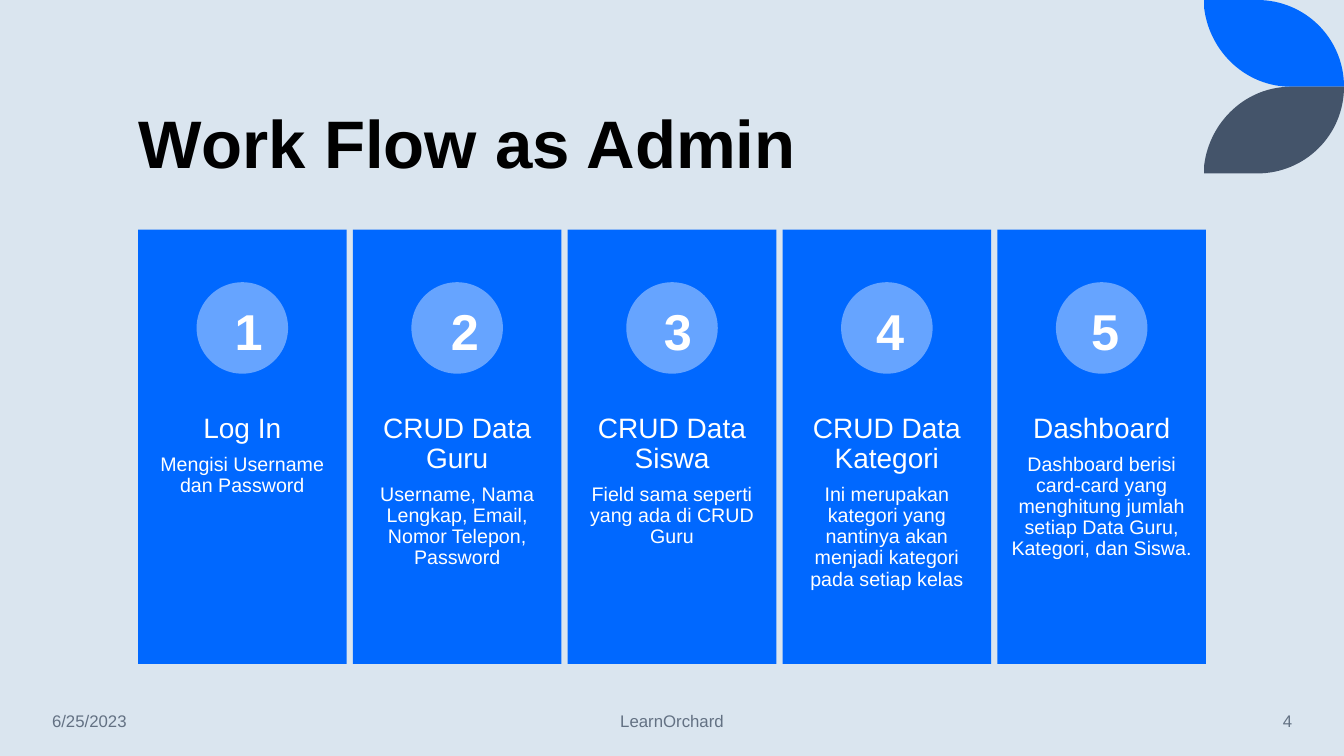
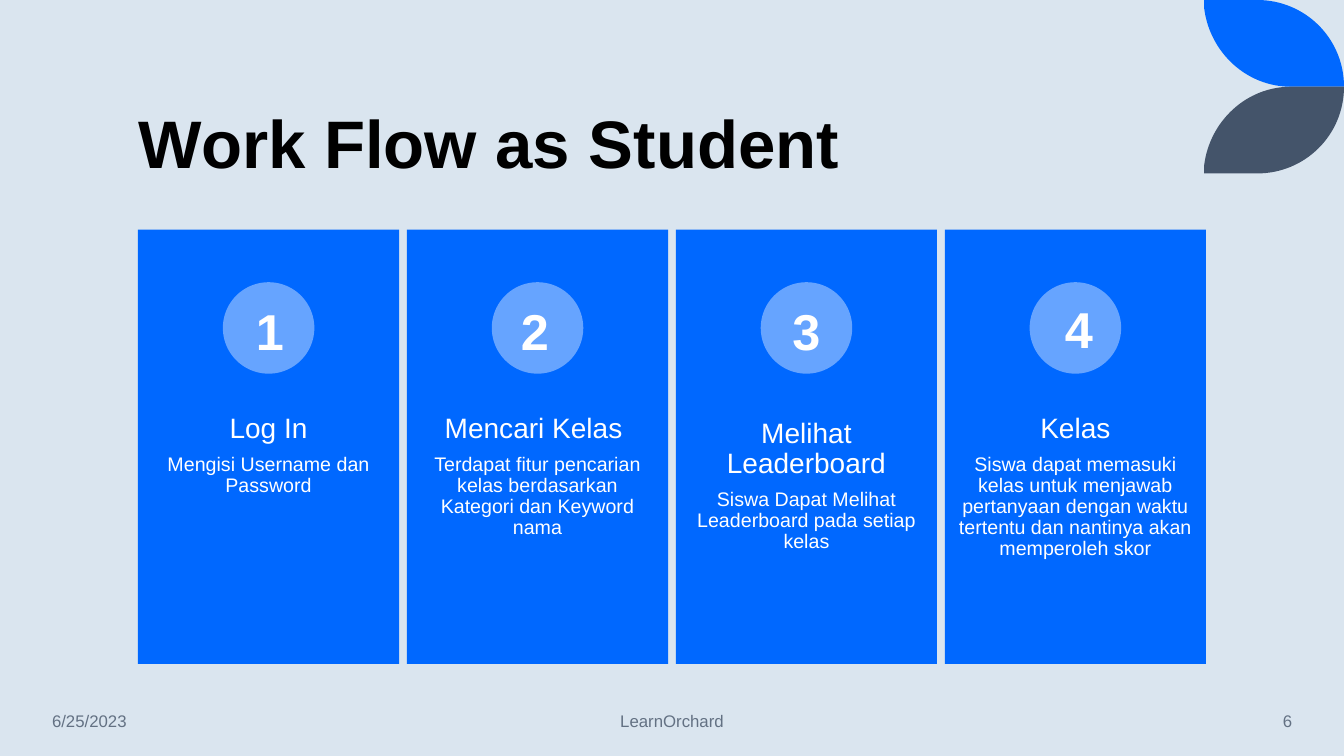
from dataclasses import dataclass

from lxml.etree import SubElement
from pptx import Presentation
from pptx.dml.color import RGBColor
from pptx.enum.shapes import MSO_SHAPE
from pptx.enum.text import MSO_ANCHOR, PP_ALIGN
from pptx.oxml.ns import qn
from pptx.util import Inches, Pt

SLIDE_WIDTH, SLIDE_HEIGHT = Inches(13.33), Inches(7.5)


@dataclass(frozen=True)
class Theme:
    font: str = "Arial"
    background: str = "DAE5EF"
    card: str = "0068FF"
    badge: str = "66A4FF"
    lower_leaf: str = "44546A"
    title: str = "000000"
    card_text: str = "FFFFFF"
    footer: str = "637183"
    title_size: int = 48
    number_size: int = 36
    heading_size: int = 20
    body_size: int = 14
    footer_size: int = 12


@dataclass(frozen=True)
class Step:
    heading: str
    body: str
    number_shift: float = 0  # percent of slide width
    number_lift: float = 0  # percent of slide height
    inset: float = 0.11  # inches


THEME = Theme()

# Card grid, in percent of the slide's width or height
CARDS_LEFT, CARDS_WIDTH = 10.27, 79.46
CARDS_TOP, CARDS_HEIGHT = 30.39, 57.45
GAP_RATIO = 0.03  # gap as a share of one card's width
BADGE_TOP, BADGE_SIZE = 37.33, 12.1
NUMBER_TOP, NUMBER_HEIGHT = 39.07, 9.47
CARD_TEXT_TOP, CARD_TEXT_HEIGHT = 53.33, 22.93

# Corner leaf, in shares of its own box
LEAF_LEFT, LEAF_WIDTH, LEAF_HEIGHT = 89.6, 10.4, 11.47
LEAF_OUTLINE = ((0, 0), (0.38, 0), (0.72, 0), (1, 0.44), (1, 1),
                (0.62, 1), (0.3, 1), (0.04, 0.6), (0, 0.1))
LEAF_CURVES = (slice(1, 4), slice(5, 8))  # segments that form each curve

FLOWS = (
    ("Work Flow as Admin", "4", (
        Step("Log In", "Mengisi Username dan Password", 0.47),
        Step("CRUD Data Guru", "Username, Nama Lengkap, Email, Nomor Telepon, Password", 0.58),
        Step("CRUD Data Siswa", "Field sama seperti yang ada di CRUD Guru", 0.43),
        Step("CRUD Data Kategori", "Ini merupakan kategori yang nantinya akan menjadi "
             "kategori pada setiap kelas", 0.25),
        Step("Dashboard", "Dashboard berisi card-card yang menghitung jumlah setiap "
             "Data Guru, Kategori, dan Siswa.", 0.25),
    )),
    ("Work Flow as Student", "6", (
        Step("Log In", "Mengisi Username dan Password", 0.1),
        Step("Mencari Kelas ", "Terdapat fitur pencarian kelas berdasarkan Kategori "
             "dan Keyword nama", -0.2),
        Step("Melihat Leaderboard", "Siswa Dapat Melihat Leaderboard pada setiap kelas",
             inset=0.16),
        Step("Kelas", "Siswa dapat memasuki kelas untuk menjawab pertanyaan dengan waktu "
             "tertentu dan nantinya akan memperoleh skor", 0.25, 0.27),
    )),
)


def across(percent):
    return round(SLIDE_WIDTH * percent / 100)


def down(percent):
    return round(SLIDE_HEIGHT * percent / 100)


def paint(shape, color):
    shape.fill.solid()
    shape.fill.fore_color.rgb = RGBColor.from_string(color)
    shape.line.fill.background()
    shape.shadow.inherit = False


def add_text_box(slide, box, anchor=MSO_ANCHOR.TOP, inset=None):
    frame = slide.shapes.add_textbox(*box).text_frame
    frame.word_wrap = True
    frame.vertical_anchor = anchor
    if inset is not None:
        frame.margin_left = frame.margin_right = Inches(inset)
        frame.margin_top = frame.margin_bottom = Inches(inset)
    return frame


def write(paragraph, text, size, color, align=PP_ALIGN.LEFT, bold=False, spacing=None):
    paragraph.alignment = align
    paragraph.line_spacing = spacing
    run = paragraph.add_run()
    run.text = text
    run.font.name = THEME.font
    run.font.size = Pt(size)
    run.font.bold = bold
    run.font.color.rgb = RGBColor.from_string(color)


# Shared decoration, title and footer
def bend(segments):
    """Turn three straight segments into one cubic curve through their points."""
    first = segments[0]
    curve = SubElement(first.getparent(), qn("a:cubicBezTo"))
    first.addprevious(curve)
    for segment in segments:
        curve.append(segment[0])
        segment.getparent().remove(segment)


def add_leaf(slide, row, color, mirrored):
    points = [(across(LEAF_LEFT + LEAF_WIDTH * x),
               down(LEAF_HEIGHT * (row + (1 - y if mirrored else y))))
              for x, y in LEAF_OUTLINE]
    builder = slide.shapes.build_freeform(*points[0])
    builder.add_line_segments(points[1:], close=True)
    leaf = builder.convert_to_shape()
    segments = list(leaf.element.iter(qn("a:lnTo")))
    for curve in LEAF_CURVES:
        bend(segments[curve])
    paint(leaf, color)


def add_title(slide, text):
    box = across(9.6), down(5.6), across(80.2), down(19.33)
    frame = add_text_box(slide, box, MSO_ANCHOR.BOTTOM)
    write(frame.paragraphs[0], text, THEME.title_size, THEME.title, bold=True, spacing=0.9)


def add_footer(slide, page):
    for text, left, width, align in (("6/25/2023", 3.13, 13.95, PP_ALIGN.LEFT),
                                     ("LearnOrchard", 33.13, 33.75, PP_ALIGN.CENTER),
                                     (page, 83.27, 13.6, PP_ALIGN.RIGHT)):
        box = across(left), down(92.67), across(width), down(5.33)
        frame = add_text_box(slide, box, MSO_ANCHOR.MIDDLE)
        write(frame.paragraphs[0], text, THEME.footer_size, THEME.footer, align)


# One numbered step
def add_card(slide, number, step, left, width):
    card = slide.shapes.add_shape(MSO_SHAPE.RECTANGLE, left, down(CARDS_TOP),
                                  width, down(CARDS_HEIGHT))
    paint(card, THEME.card)

    box = left, down(CARD_TEXT_TOP), width, down(CARD_TEXT_HEIGHT)
    frame = add_text_box(slide, box, inset=step.inset)
    heading, body = frame.paragraphs[0], frame.add_paragraph()
    write(heading, step.heading, THEME.heading_size, THEME.card_text,
          PP_ALIGN.CENTER, spacing=0.9)
    heading.space_after = Pt(7)
    write(body, step.body, THEME.body_size, THEME.card_text, PP_ALIGN.CENTER, spacing=0.9)

    size = down(BADGE_SIZE)
    badge_left = left + (width - size) // 2
    badge = slide.shapes.add_shape(MSO_SHAPE.OVAL, badge_left, down(BADGE_TOP), size, size)
    paint(badge, THEME.badge)

    box = (badge_left + across(step.number_shift), down(NUMBER_TOP - step.number_lift),
           size, down(NUMBER_HEIGHT))
    frame = add_text_box(slide, box)
    write(frame.paragraphs[0], str(number), THEME.number_size, THEME.card_text,
          PP_ALIGN.CENTER, bold=True)


def add_flow(slide, steps):
    count = len(steps)
    width = CARDS_WIDTH / (count + GAP_RATIO * (count - 1))
    pitch = width * (1 + GAP_RATIO)
    for index, step in enumerate(steps):
        add_card(slide, index + 1, step, across(CARDS_LEFT + index * pitch), across(width))


def main():
    presentation = Presentation()
    presentation.slide_width, presentation.slide_height = SLIDE_WIDTH, SLIDE_HEIGHT
    background = presentation.slide_master.background.fill
    background.solid()
    background.fore_color.rgb = RGBColor.from_string(THEME.background)

    for title, page, steps in FLOWS:
        slide = presentation.slides.add_slide(presentation.slide_layouts[6])
        add_leaf(slide, 0, THEME.card, mirrored=False)
        add_leaf(slide, 1, THEME.lower_leaf, mirrored=True)
        add_title(slide, title)
        add_flow(slide, steps)
        add_footer(slide, page)

    presentation.save("out.pptx")


if __name__ == "__main__":
    main()
